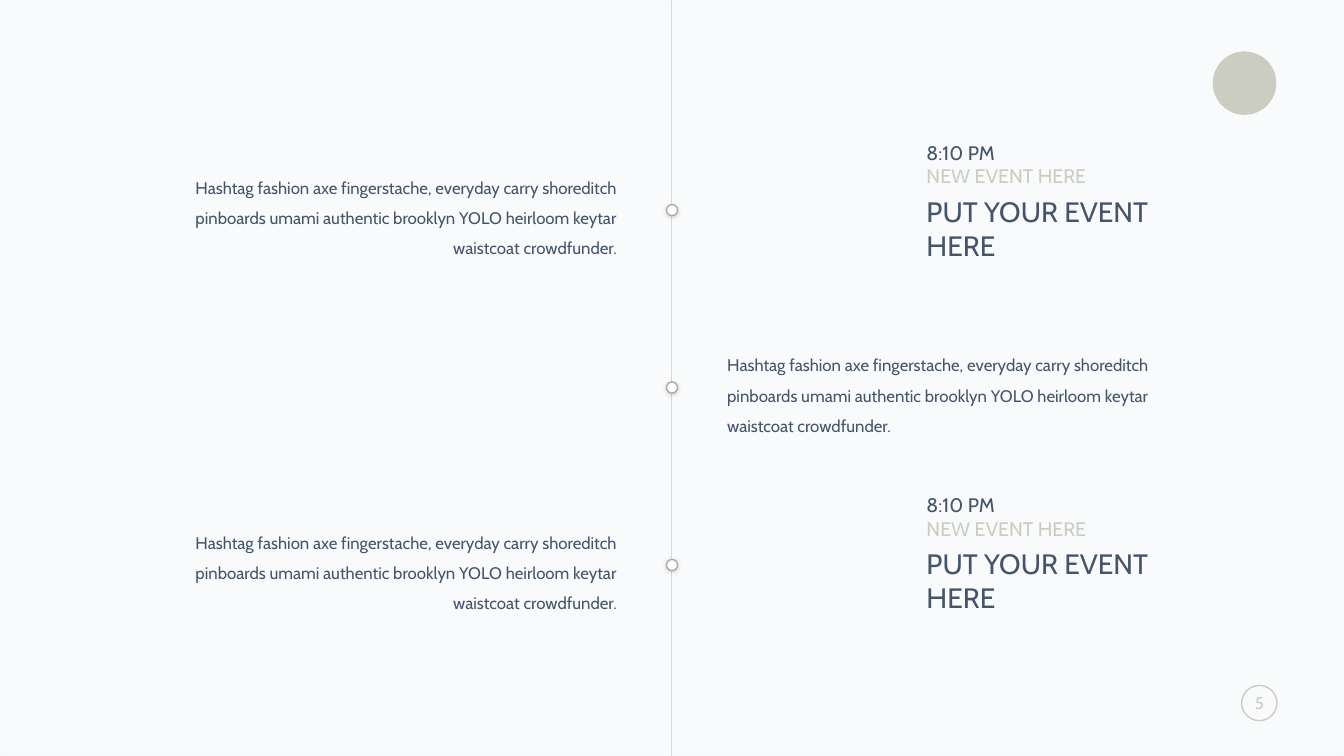
"""Build a vertical timeline slide with events on both sides of a centre line."""
import pptx
import pptx.util
import pptx.dml.color
import pptx.enum.shapes
import pptx.enum.text
import pptx.oxml.ns
from lxml import etree

Pt = pptx.util.Pt
Kind = pptx.enum.shapes.MSO_SHAPE
Align = pptx.enum.text.PP_ALIGN
Fit = pptx.enum.text.MSO_AUTO_SIZE
qn = pptx.oxml.ns.qn

HUES = {
    "tint": "7B8DB3", "edge": "EBEBEB", "sage": "CBCDC0", "ring": "AAAC9F",
    "rule": "D9D9D9", "ink": "44546A", "white": "FFFFFF", "black": "000000",
}
BLURB = ("Hashtag fashion axe fingerstache, everyday carry shoreditch pinboards umami "
         "authentic brooklyn YOLO heirloom keytar waistcoat crowdfunder.")
EVENT = [
    ("8:10 PM", 14, "ink", 0),
    ("NEW EVENT HERE", 14, "sage", 0),
    ("PUT YOUR EVENT", 20, "ink", 4.8),
    ("HERE", 20, "ink", 0),
]


class Board:
    """Draw on one slide with a grid of 100 columns by 100 rows."""

    def __init__(self, deck):
        self.face = "Cabin"
        self.col = deck.slide_width / 100
        self.row = deck.slide_height / 100
        self.slide = deck.slides.add_slide(deck.slide_layouts[6])

    def hue(self, name):
        return pptx.dml.color.RGBColor.from_string(HUES[name])

    def spot(self, x, y, w, h):
        return [round(v) for v in (x * self.col, y * self.row, w * self.col, h * self.row)]

    def shape(self, kind, box, fill=None, line=None, width=1):
        item = self.slide.shapes.add_shape(kind, *box)
        item.shadow.inherit = False
        if fill:
            item.fill.solid()
            item.fill.fore_color.rgb = self.hue(fill)
        else:
            item.fill.background()
        if line:
            item.line.color.rgb = self.hue(line)
            item.line.width = Pt(width)
        else:
            item.line.fill.background()
        return item

    def disc(self, kind, x, y, size, fill=None, line=None):
        side = size * self.col / self.row
        return self.shape(kind, self.spot(x - size / 2, y - side / 2, size, side), fill, line)

    def fade(self, item, *parts):
        tones = item.element.spPr.iter(qn("a:srgbClr"))
        for tone, part in zip(tones, parts):
            etree.SubElement(tone, qn("a:alpha"), val=str(part * 1000))

    def dot(self, y):
        item = self.disc(Kind.OVAL, 50, y, 0.83, "white", "ring")
        glow = etree.SubElement(
            item.element.spPr.find(qn("a:effectLst")), qn("a:outerShdw"),
            blurRad=str(Pt(3)), dist=str(Pt(1)), dir="5400000", algn="t", rotWithShape="0")
        tone = etree.SubElement(glow, qn("a:srgbClr"), val=HUES["black"])
        etree.SubElement(tone, qn("a:alpha"), val="15000")

    def rule(self, x):
        left, top, _, foot = self.spot(x, 0, 0, 100)
        item = self.slide.shapes.add_connector(
            pptx.enum.shapes.MSO_CONNECTOR.STRAIGHT, left, top, left, foot)
        item.line.color.rgb = self.hue("rule")
        item.line.width = Pt(0.75)
        etree.SubElement(item.element.spPr, qn("a:effectLst"))

    def text(self, box, rows, align=Align.LEFT, lead=1.0, wrap=True):
        frame = self.slide.shapes.add_textbox(*self.spot(*box)).text_frame
        frame.word_wrap = wrap
        frame.auto_size = Fit.SHAPE_TO_FIT_TEXT
        for i, (words, size, tone, gap) in enumerate(rows):
            para = frame.add_paragraph() if i else frame.paragraphs[0]
            para.text = words
            para.alignment = align
            para.line_spacing = lead
            para.space_before = Pt(gap)
            para.font.name = self.face
            para.font.size = Pt(size)
            para.font.color.rgb = self.hue(tone)


def main():
    deck = pptx.Presentation()
    deck.slide_width = pptx.util.Inches(13.33)
    deck.slide_height = pptx.util.Inches(7.5)
    board = Board(deck)

    back = board.shape(Kind.RECTANGLE, board.spot(0, 0, 100, 100), "tint", "edge", 2)
    board.fade(back, 4, 10)
    board.disc(Kind.OVAL, 92.6, 11, 4.73, "sage")
    badge = board.disc(Kind.ROUNDED_RECTANGLE, 93.7, 93, 2.63, line="sage")
    badge.adjustments[0] = 0.5
    board.text((92.3, 90.93, 2.8, 4), [("5", 12, "sage", 0)], Align.CENTER, wrap=False)

    board.rule(49.97)
    wide = 34.65
    sides = [(12, Align.RIGHT), (53.37, Align.LEFT), (12, Align.RIGHT)]
    for i, (left, align) in enumerate(sides):
        y = 27.8 + i * 23.47
        board.dot(y)
        board.text((left, y - 6.28, wide, 13.5), [(BLURB, 12, "ink", 0)], align, 1.5)
    for top in (17.95, 64.55):
        board.text((68.2, top, wide, 17.5), EVENT)

    deck.save("out.pptx")


if __name__ == "__main__":
    main()
